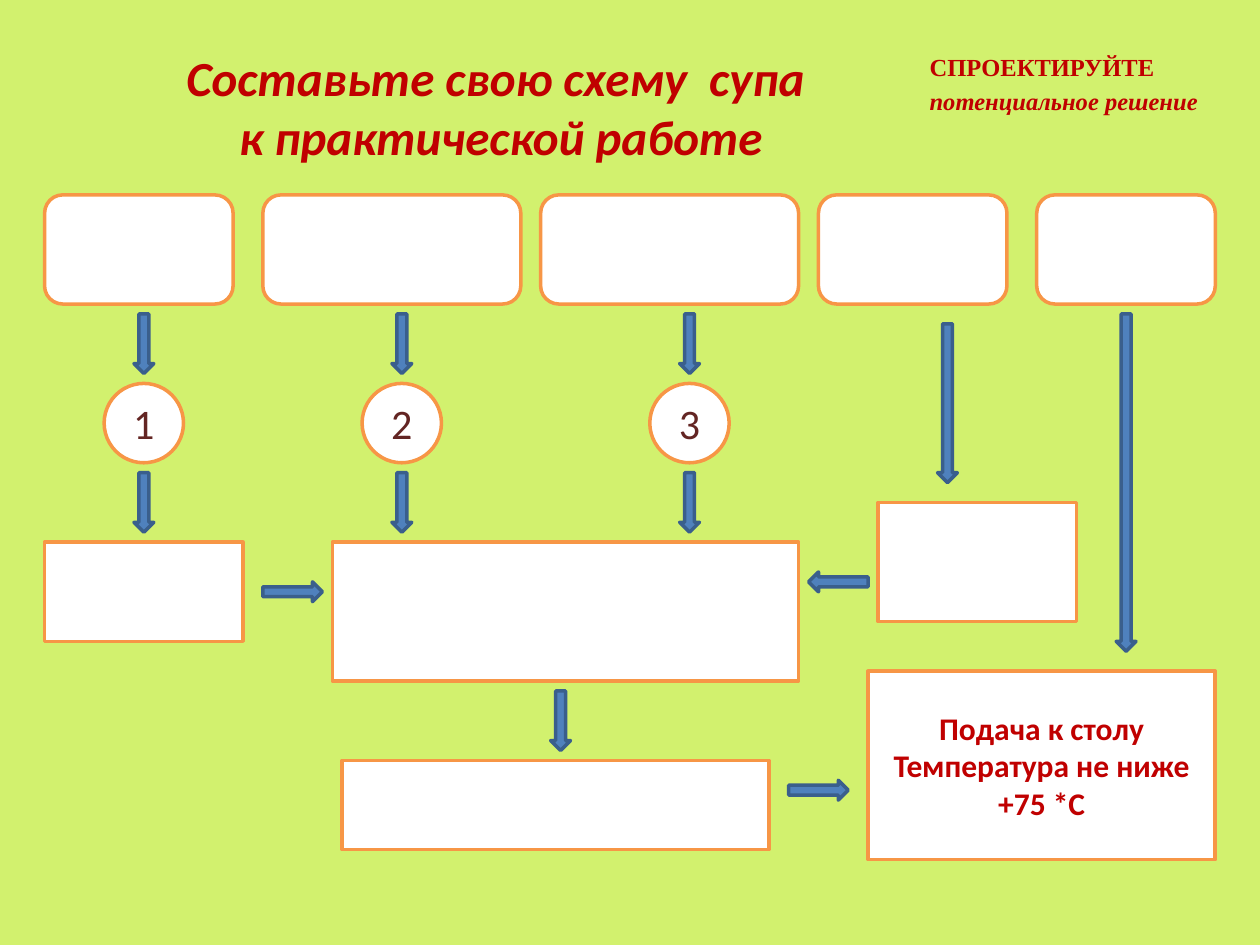
from typing import NamedTuple

import pptx
import pptx.dml.color
import pptx.enum.shapes
import pptx.enum.text
import pptx.util

RGBColor = pptx.dml.color.RGBColor
MSO_SHAPE = pptx.enum.shapes.MSO_SHAPE
PP_ALIGN = pptx.enum.text.PP_ALIGN
MSO_ANCHOR = pptx.enum.text.MSO_ANCHOR
Inches, Pt, Cm = pptx.util.Inches, pptx.util.Pt, pptx.util.Cm

LIME = RGBColor(0xD2, 0xF1, 0x6E)
WHITE = RGBColor(0xFF, 0xFF, 0xFF)
ORANGE = RGBColor(0xF7, 0x96, 0x46)
RED = RGBColor(0xC0, 0x00, 0x00)
BROWN = RGBColor(0x63, 0x25, 0x23)
BLUE = RGBColor(0x4F, 0x81, 0xBD)
NAVY = RGBColor(0x3A, 0x5F, 0x8C)

# The scheme lies on a square grid whose origin is the first box's corner.
CELL = Cm(0.2)
LEFT, TOP = Cm(0.9), Cm(3.93)
ARROW_LENGTH, ARROW_WIDTH = 6, 2
RIGHT, DOWN, BACK = 0, 90, 180


class Box(NamedTuple):
    col: float
    row: float
    cols: float
    rows: float
    kind: MSO_SHAPE = MSO_SHAPE.RECTANGLE
    text: str = ""
    size: int = 18
    color: RGBColor = RED
    bold: bool = True


class Arrow(NamedTuple):
    """An arrow given by its centre, in grid cells."""
    col: float
    row: float
    angle: int = DOWN
    length: float = ARROW_LENGTH


BRANCHES = (10, 36, 65)

INGREDIENTS = [
    Box(col, 0, cols, 11, MSO_SHAPE.ROUNDED_RECTANGLE)
    for col, cols in ((0, 19), (22, 26), (50, 26), (78, 19), (100, 18))
]
STEPS = [
    Box(col - 4, 19, 8, 8, MSO_SHAPE.FLOWCHART_CONNECTOR, str(n), 24, BROWN, False)
    for n, col in enumerate(BRANCHES, 1)
]
STAGES = [
    Box(29, 35, 47, 14),
    Box(0, 35, 20, 10),
    Box(84, 31, 20, 12),
    Box(30, 57, 43, 9),
    Box(83, 48, 35, 19, text="Подача к столу\nТемпература не ниже +75 *С"),
]
ARROWS = [
    Arrow(25, 40, RIGHT),
    Arrow(80, 39, BACK),
    Arrow(78, 60, RIGHT),
    Arrow(52, 53),
    Arrow(109, 29, length=34),
    Arrow(91, 21, length=16),
    *(Arrow(col, row) for row in (15, 31) for col in BRANCHES),
]


def add_cell_shape(s, kind: MSO_SHAPE, col: float, row: float, cols: float,
                   rows: float, fill: RGBColor, line: RGBColor):
    """Add a filled, outlined shape placed in grid cells."""
    sp = s.shapes.add_shape(kind, int(LEFT + col * CELL), int(TOP + row * CELL),
                            int(cols * CELL), int(rows * CELL))
    sp.shadow.inherit = False
    sp.fill.solid()
    sp.fill.fore_color.rgb = fill
    sp.line.color.rgb = line
    sp.line.width = Pt(2)
    return sp


def style_paragraph(p, name: str, size: int, color: RGBColor,
                    bold: bool = True, italic: bool = False) -> None:
    p.font.name = name
    p.font.size = Pt(size)
    p.font.color.rgb = color
    p.font.bold = bold
    p.font.italic = italic


def draw_box(s, box: Box) -> None:
    sp = add_cell_shape(s, box.kind, box.col, box.row, box.cols, box.rows,
                        WHITE, ORANGE)
    if not box.text:
        return
    tf = sp.text_frame
    tf.text = box.text
    tf.vertical_anchor = MSO_ANCHOR.MIDDLE
    for p in tf.paragraphs:
        p.alignment = PP_ALIGN.CENTER
        style_paragraph(p, "Calibri", box.size, box.color, box.bold)


def draw_arrow(s, arrow: Arrow) -> None:
    sp = add_cell_shape(s, MSO_SHAPE.RIGHT_ARROW, arrow.col - arrow.length / 2,
                        arrow.row - ARROW_WIDTH / 2, arrow.length, ARROW_WIDTH,
                        BLUE, NAVY)
    sp.rotation = arrow.angle


def draw_title(s) -> None:
    title = s.shapes.title
    title.left, title.top = Inches(0.51), Inches(0.29)
    title.width, title.height = Inches(6.93), Inches(1.11)
    tf = title.text_frame
    tf.text = "Составьте свою схему  супа \vк практической работе"
    tf.vertical_anchor = MSO_ANCHOR.MIDDLE
    p = tf.paragraphs[0]
    p.alignment = PP_ALIGN.CENTER
    style_paragraph(p, "Calibri", 28, RED, italic=True)


def draw_task(s) -> None:
    tf = s.shapes.add_textbox(Inches(7.28), Inches(0.36),
                              Inches(2.44), Inches(0.62)).text_frame
    tf.word_wrap = True
    tf.text = "СПРОЕКТИРУЙТЕ\nпотенциальное решение"
    for p, italic in zip(tf.paragraphs, (False, True)):
        p.space_before = Pt(2.8)
        style_paragraph(p, "Times New Roman", 14, RED, italic=italic)


def main() -> None:
    prs = pptx.Presentation()
    prs.slide_width, prs.slide_height = Inches(10), Inches(7.5)
    s = prs.slides.add_slide(prs.slide_layouts.get_by_name("Title Only"))
    s.background.fill.solid()
    s.background.fill.fore_color.rgb = LIME
    draw_title(s)
    for box in INGREDIENTS + STEPS + STAGES:
        draw_box(s, box)
    draw_task(s)
    for arrow in ARROWS:
        draw_arrow(s, arrow)
    prs.save("out.pptx")


if __name__ == "__main__":
    main()
